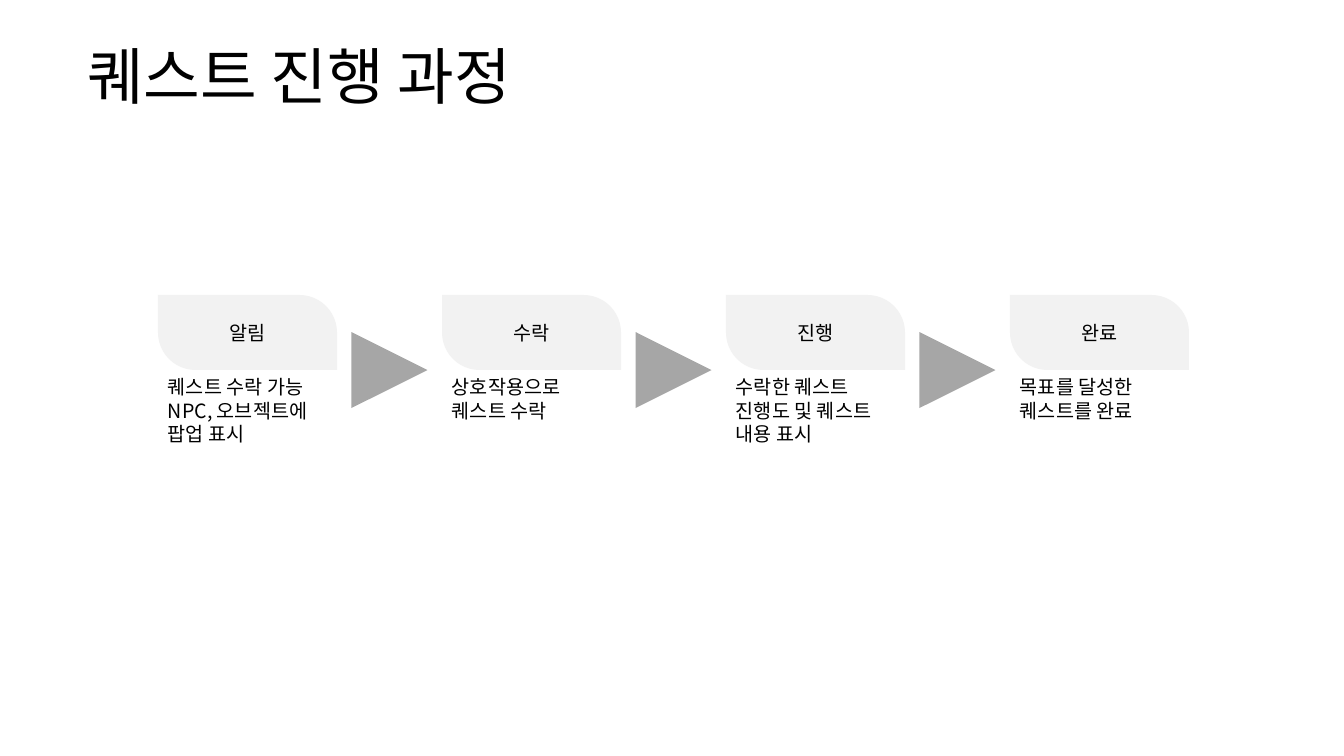
import pptx
import pptx.util
import pptx.dml.color
import pptx.enum.shapes
import pptx.enum.text
import pptx.oxml.ns
from lxml import etree

PX = 914400 / 100.8
FONT = "Noto Sans CJK KR"
SHAPE = pptx.enum.shapes.MSO_SHAPE
ALIGN = pptx.enum.text.PP_ALIGN
ANCHOR = pptx.enum.text.MSO_ANCHOR


def box(*lengths):
    """Turn pixel lengths into EMU."""
    return [pptx.util.Emu(round(n * PX)) for n in lengths]


def write(tf, lines, size, align, anchor):
    tf.word_wrap = True
    tf.vertical_anchor = anchor
    tf.text = "\n".join(lines)
    for p in tf.paragraphs:
        p.alignment = align
        p.font.size = pptx.util.Pt(size)
        p.font.color.rgb = pptx.dml.color.RGBColor.from_string("000000")
        p.font.name = FONT
        # Hangul takes its typeface from the East Asian font slot
        latin = p._p.pPr.find(".//" + pptx.oxml.ns.qn("a:latin"))
        latin.addnext(etree.Element(pptx.oxml.ns.qn("a:ea"), typeface=FONT))


prs = pptx.Presentation()
prs.slide_width, prs.slide_height = box(1344, 756)
s = prs.slides.add_slide(prs.slide_layouts[5])

title = s.shapes.title
title.left, title.top, title.width, title.height = box(77, 32, 1190, 95)
write(title.text_frame, ["퀘스트 진행 과정"], 44, ALIGN.LEFT, ANCHOR.MIDDLE)
title.text_frame.paragraphs[0].line_spacing = 0.9

steps = [
    ("알림", ["퀘스트 수락 가능", "NPC, 오브젝트에", "팝업 표시"]),
    ("수락", ["상호작용으로", "퀘스트 수락"]),
    ("진행", ["수락한 퀘스트", "진행도 및 퀘스트", "내용 표시"]),
    ("완료", ["목표를 달성한", "퀘스트를 완료"]),
]
LEFT, TOP, WIDTH, HEIGHT, PITCH = 158, 295, 179, 75, 284
ARROW = 76

for i, (name, details) in enumerate(steps):
    x = LEFT + i * PITCH
    card = s.shapes.add_shape(SHAPE.ROUND_2_DIAG_RECTANGLE, *box(x, TOP, WIDTH, HEIGHT))
    card.adjustments[0], card.adjustments[1] = 0, 0.5
    write(card.text_frame, [name], 14, ALIGN.CENTER, ANCHOR.MIDDLE)
    filled = [(card, "F2F2F2")]

    note = s.shapes.add_textbox(*box(x, TOP + HEIGHT, WIDTH, 91))
    write(note.text_frame, details, 14, ALIGN.LEFT, ANCHOR.TOP)

    if i < len(steps) - 1:
        arrow_x = x + WIDTH + (PITCH - WIDTH - ARROW) / 2
        arrow = s.shapes.add_shape(
            SHAPE.FLOWCHART_MERGE, *box(arrow_x, TOP + HEIGHT - ARROW / 2, ARROW, ARROW))
        arrow.rotation = 270
        filled.append((arrow, "A6A6A6"))

    for sp, color in filled:
        sp.shadow.inherit = False
        sp.fill.solid()
        sp.fill.fore_color.rgb = pptx.dml.color.RGBColor.from_string(color)
        sp.line.fill.background()

prs.save("out.pptx")
